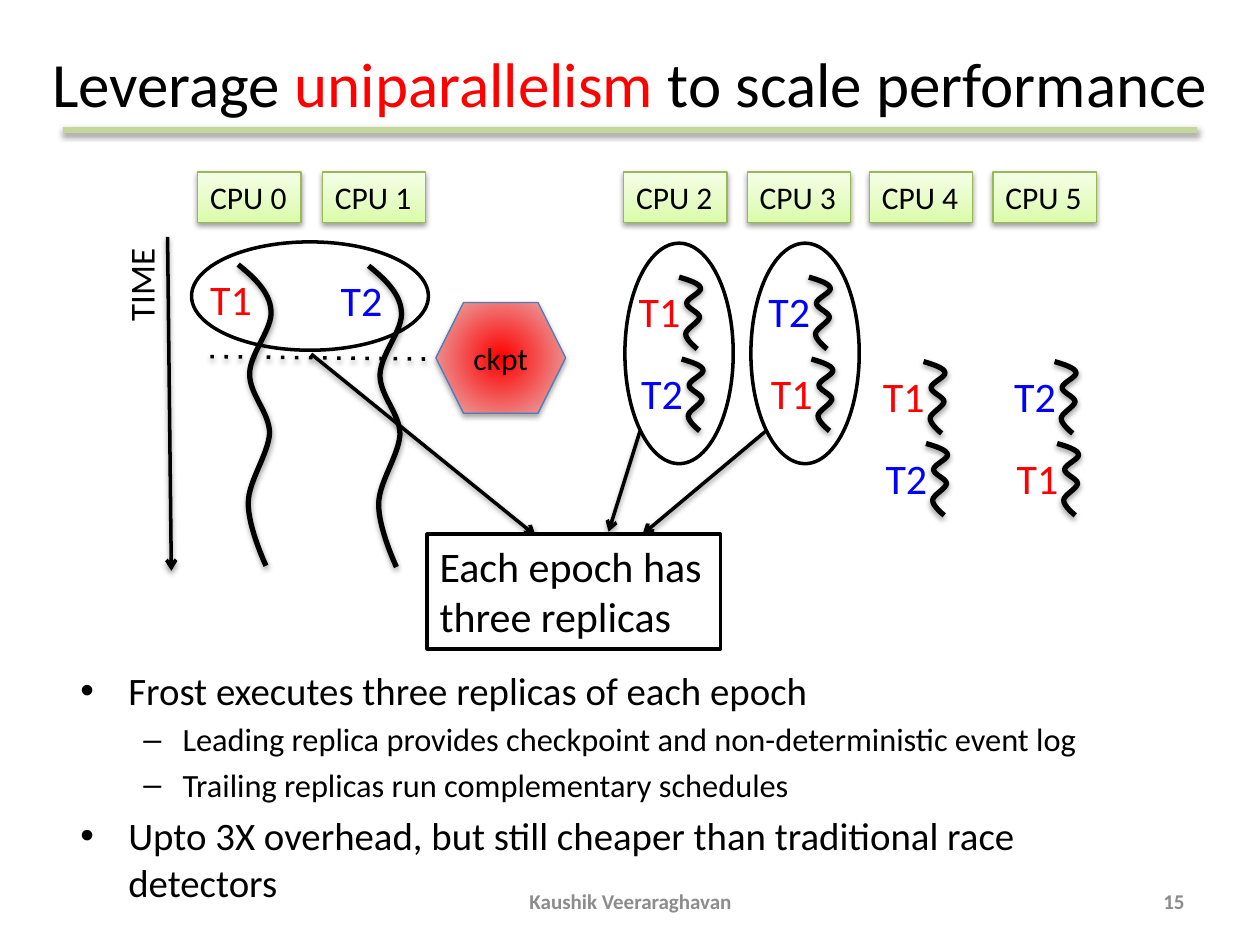
import pptx
import pptx.util
import pptx.dml.color
import pptx.enum.shapes
import pptx.enum.text
import pptx.oxml
import pptx.oxml.ns

Pt = pptx.util.Pt
KIND = pptx.enum.shapes.MSO_SHAPE
ALIGN = pptx.enum.text.PP_ALIGN
ANCHOR = pptx.enum.text.MSO_ANCHOR
qn = pptx.oxml.ns.qn
FONT = "Calibri"
BLACK = "000000"
TINT = {"T1": "FF0000", "T2": "0000FF"}
CELL = pptx.util.Inches(0.1)  # the slide is 100 columns by 75 rows
# Bends of a thread, as shares of its width and height
WAVE = [(0, 0), (.46, .04), (.96, .09), (1, .15), (1.08, .21), (.38, .29),
        (.35, .36), (.33, .43), (.96, .49), (.96, .56), (.92, .63),
        (.31, .72), (.31, .79), (.29, .87), (.85, 1), (.85, 1)]


def grid(*cells):
    """Turn columns or rows into slide lengths."""
    return [round(CELL * n) for n in cells]


def rgb(code):
    return pptx.dml.color.RGBColor.from_string(code)


def node(xml):
    ns = pptx.oxml.ns.nsdecls("a")
    return pptx.oxml.parse_xml(xml.replace(">", f" {ns}>", 1)
                               if "/>" not in xml.split(">")[0] + ">"
                               else xml.replace("/>", f" {ns}/>", 1))


def write(para, text, size=18, color=BLACK, bold=False, align=None):
    """Add a run to a paragraph."""
    run = para.add_run()
    run.text = text
    run.font.name, run.font.size, run.font.bold = FONT, Pt(size), bold
    run.font.color.rgb = rgb(color)
    if align is not None:
        para.alignment = align


def shade(shape, alpha=38, dist=20000):
    """Give a soft shadow straight below."""
    props = shape._element.spPr
    for old in props.findall(qn("a:effectLst")):
        props.remove(old)
    props.append(node(
        f'<a:effectLst><a:outerShdw blurRad="40000" dist="{dist}" dir="5400000" '
        f'rotWithShape="0"><a:srgbClr val="{BLACK}"><a:alpha val="{alpha}000"/>'
        '</a:srgbClr></a:outerShdw></a:effectLst>'))


def blend(shape, stops, way):
    """Fill with a gradient; way is its direction element."""
    shape.fill.gradient()
    fill = shape._element.spPr.find(qn("a:gradFill"))
    for part in list(fill):
        fill.remove(part)
    marks = "".join(f'<a:gs pos="{at}000"><a:srgbClr val="{code}"/></a:gs>'
                    for at, code in stops)
    fill.append(node(f"<a:gsLst>{marks}</a:gsLst>"))
    fill.append(node(way))


def form(slide, kind, box, line=BLACK, width=2, fill=None):
    shape = slide.shapes.add_shape(kind, *grid(*box))
    shape.shadow.inherit = False
    shape.line.color.rgb, shape.line.width = rgb(line), Pt(width)
    if fill:
        shape.fill.solid()
        shape.fill.fore_color.rgb = rgb(fill)
    else:
        shape.fill.background()
    shape.text_frame.vertical_anchor = ANCHOR.TOP
    return shape


def label(slide, box, text, wrap=False, anchor=ANCHOR.TOP, **style):
    frame = slide.shapes.add_textbox(*grid(*box)).text_frame
    frame.word_wrap, frame.vertical_anchor = wrap, anchor
    write(frame.paragraphs[0], text, **style)
    return frame


def rule(slide, ends, color=BLACK, width=2, extra=None):
    """Draw a straight line; extra is a dash or arrowhead element."""
    line = slide.shapes.add_connector(
        pptx.enum.shapes.MSO_CONNECTOR.STRAIGHT, *grid(*ends))
    line.line.color.rgb, line.line.width = rgb(color), Pt(width)
    if extra:
        line.line._get_or_add_ln().append(node(extra))
    shade(line)


def arrow(slide, *ends):
    rule(slide, ends, extra='<a:tailEnd type="arrow"/>')


def wave(slide, left, top, wide, high):
    """Draw a thread as one smooth curve."""
    spots = [grid(left + x * wide, top + y * high) for x, y in WAVE]
    pen = slide.shapes.build_freeform(*spots[0])
    pen.add_line_segments(spots[1:], close=False)
    shape = pen.convert_to_shape()
    path = shape._element.spPr.find(".//" + qn("a:path"))
    legs = path.findall(qn("a:lnTo"))
    for i in range(0, len(legs), 3):
        curve = node("<a:cubicBezTo></a:cubicBezTo>")
        for leg in legs[i:i + 3]:
            curve.append(leg[0])
            path.remove(leg)
        path.append(curve)
    shape.fill.background()
    shape.line.color.rgb, shape.line.width = rgb(BLACK), Pt(3)
    shade(shape)


def thread(slide, left, top, name, shift, wide, high):
    label(slide, (left, top + .2, 5.4, 5), name, size=24, color=TINT[name])
    wave(slide, left + shift, top, wide, high)


def stack(slide, left, top, names):
    """Run two short threads one after the other."""
    for i, name in enumerate(names):
        thread(slide, left + .2 * i, top + 6.5 * i, name, 4.2, 1.7, 5.7)


def head(slide):
    title = slide.shapes.title
    title.left, title.top, title.width, title.height = grid(0, 3, 100, 7.1)
    title.text_frame.vertical_anchor = ANCHOR.MIDDLE
    para = title.text_frame.paragraphs[0]
    for text, color in (("Leverage ", BLACK), ("uniparallelism", "FF0000"),
                        (" to scale performance", BLACK)):
        write(para, text, size=36, color=color, align=ALIGN.CENTER)
    rule(slide, (5, 10.3, 95, 10.3), "C3D69B", 3.5)


def chips(slide, top):
    for i, left in enumerate((15.7, 25.6, 49.5, 59.3, 69, 78.8)):
        chip = form(slide, KIND.RECTANGLE, (left, top, 8.2, 4), "98B955", .75)
        blend(chip, [(0, "DAFDA7"), (35, "E4FCC2"), (100, "F5FFE7")],
              '<a:lin ang="16200000" scaled="0"/>')
        shade(chip)
        write(chip.text_frame.paragraphs[0], f"CPU {i}", align=ALIGN.LEFT)


def clock(slide, left, top):
    arrow(slide, left + 4.3, top, left + 4.6, top + 26.5)
    frame = label(slide, (left, top + .8, 5.4, 6.9), "TIME", size=20)
    frame._txBody.bodyPr.set("vert", "vert270")


def lead(slide, left, top):
    """Show the leading replica and its checkpoint."""
    for i, name in enumerate(TINT):
        thread(slide, left + 10.35 * i, top + .1 * i, name, 3.2, 2.6, 23.9)
    rule(slide, (left + 1, top + 7.3, left + 18.6, top + 7.5),
         extra='<a:prstDash val="dot"/>')
    mark = form(slide, KIND.HEXAGON, (left + 18.9, top + 3, 10.3, 8.8), "4B7EBC", .75)
    blend(mark, [(0, "FF0000"), (100, "E6B9B8")],
          '<a:path path="circle"><a:fillToRect l="50000" t="50000" r="50000" '
          'b="50000"/></a:path>')
    shade(mark, 35, 23000)
    mark.text_frame.vertical_anchor = ANCHOR.MIDDLE
    mark.text_frame.word_wrap = False
    write(mark.text_frame.paragraphs[0], "ckpt", align=ALIGN.CENTER)


def epoch(slide, left, top):
    """Ring the three replicas and point them to the note."""
    for box in ((49.6, 19.3, 8.6, 17.5), (59.6, 19.3, 8.6, 17.5),
                (15.2, 19.2, 18.8, 8.6)):
        form(slide, KIND.OVAL, box)
    arrow(slide, 24.7, 28.1, left + 8.6, top + .1)
    arrow(slide, 60.8, 34.2, left + 17.1, top)
    arrow(slide, 50.8, 34.2, left + 14.4, top - .2)
    note = form(slide, KIND.RECTANGLE, (left, top, 23.3, 9.1), fill="FFFFFF")
    write(note.text_frame.paragraphs[0], "Each epoch has three replicas",
          size=24, align=ALIGN.LEFT)


def points(slide, box):
    frame = slide.shapes.add_textbox(*grid(*box)).text_frame
    frame.word_wrap = True
    looks = [("•", 22.2, 3.8, 3.8), ("–", 18.5, 8.1, 3.1)]
    rows = [(0, "Frost executes three replicas of each epoch"),
            (1, "Leading replica provides checkpoint and non-deterministic event log"),
            (1, "Trailing replicas run complementary schedules"),
            (0, "Upto 3X overhead, but still cheaper than traditional race detectors")]
    for i, (level, text) in enumerate(rows):
        sign, size, margin, hang = looks[level]
        para = frame.add_paragraph() if i else frame.paragraphs[0]
        para.level = level
        props = para._p.get_or_add_pPr()
        margin, hang = grid(margin, hang)
        props.set("marL", str(margin))
        props.set("indent", str(-hang))
        props.append(node('<a:buFont typeface="Arial"/>'))
        props.append(node(f'<a:buChar char="{sign}"/>'))
        para.space_before = Pt(size * .2 if i else 0)
        write(para, text, size=size)


def foot(slide, top):
    for left, wide, text, align in (
            (34.2, 31.7, "Kaushik Veeraraghavan", ALIGN.CENTER),
            (71.7, 23.3, "15", ALIGN.RIGHT)):
        label(slide, (left, top, wide, 4), text, wrap=True, anchor=ANCHOR.MIDDLE,
              size=12, color="8C8C8C", bold=True, align=align)


def main():
    deck = pptx.Presentation()
    deck.slide_width, deck.slide_height = grid(100, 75)
    slide = deck.slides.add_slide(deck.slide_layouts.get_by_name("Title Only"))
    head(slide)
    chips(slide, 13.65)
    clock(slide, 9, 18.8)
    lead(slide, 15.7, 21)
    for left, top, names in ((49.7, 22, ("T1", "T2")), (60, 22, ("T2", "T1")),
                             (69.1, 28.7, ("T1", "T2")), (79.5, 28.7, ("T2", "T1"))):
        stack(slide, left, top, names)
    epoch(slide, 33.9, 42.4)
    points(slide, (5.4, 52.4, 88.2, 16.1))
    foot(slide, 69.5)
    deck.save("out.pptx")


if __name__ == "__main__":
    main()
